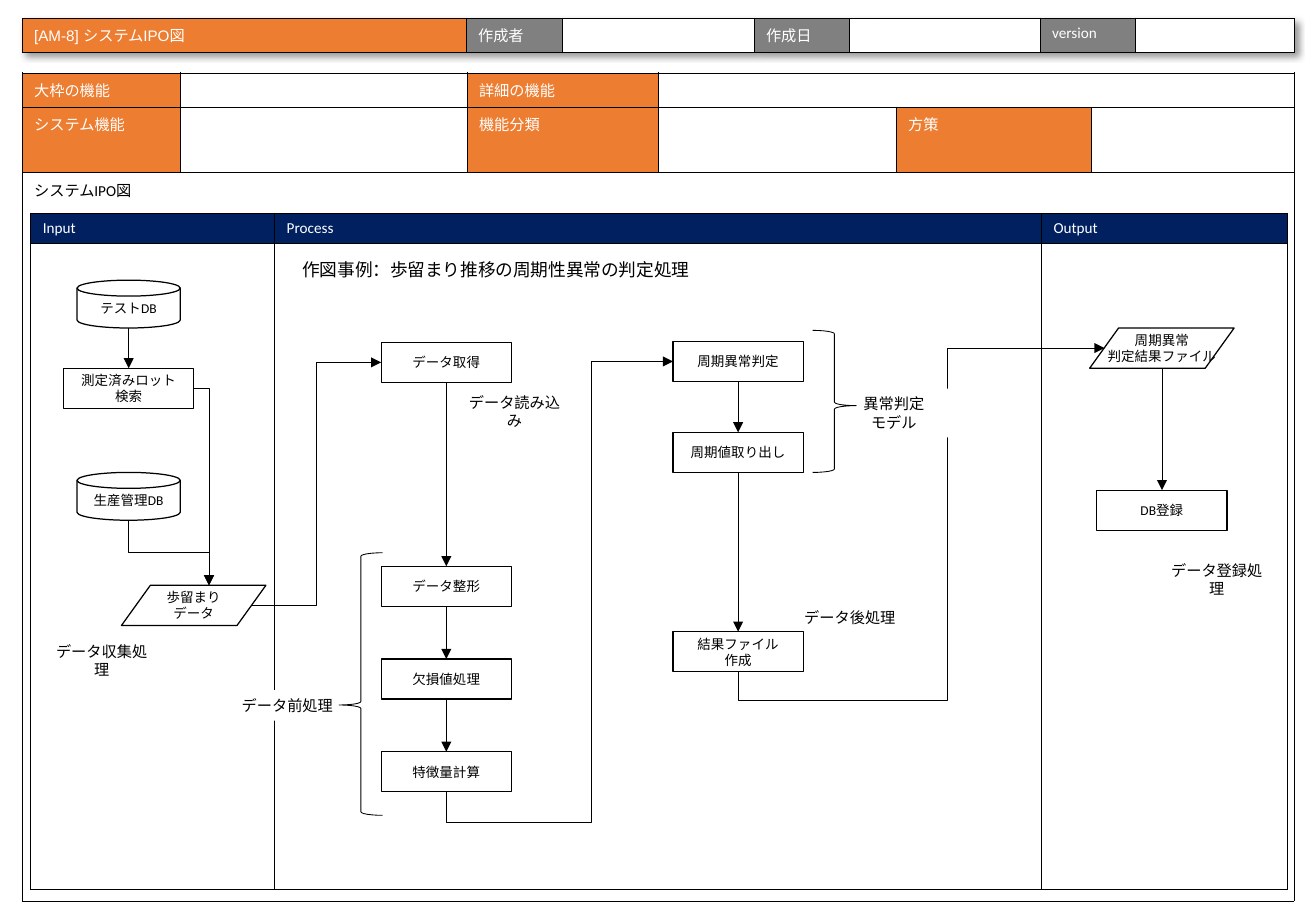
from lxml import etree
from pptx import Presentation
from pptx.dml.color import RGBColor
from pptx.enum.shapes import MSO_CONNECTOR, MSO_SHAPE
from pptx.enum.text import MSO_ANCHOR, MSO_AUTO_SIZE, PP_ALIGN
from pptx.oxml import parse_xml
from pptx.oxml.ns import nsdecls, qn
from pptx.util import Cm, Pt

ORANGE, GRAY, NAVY = "ED7D31", "808080", "002060"
WHITE, BLACK = "FFFFFF", "000000"
CJK = "Noto Sans CJK JP"
PROCESS, DISK, FILE = (MSO_SHAPE.FLOWCHART_PROCESS, MSO_SHAPE.FLOWCHART_MAGNETIC_DISK,
                       MSO_SHAPE.FLOWCHART_DATA)
SIZES = {PROCESS: (2.72, 0.84), DISK: (2.16, 1.0), FILE: (3.02, 0.84)}


def rgb(code):
    return RGBColor.from_string(code)


def write(frame, text, size, color, font, align):
    frame.text = text
    for paragraph in frame.paragraphs:
        paragraph.alignment = align
        for run in paragraph.runs:
            run.font.size, run.font.name = Pt(size), font
            run.font.color.rgb = rgb(color)
            etree.SubElement(run.font._element, qn("a:ea")).set("typeface", CJK)
        if not paragraph.runs:
            etree.SubElement(paragraph._p, qn("a:endParaRPr")).set("sz", str(size * 100))


prs = Presentation()
prs.slide_width, prs.slide_height = Cm(27.51), Cm(19.05)
slide = prs.slides.add_slide(prs.slide_layouts[6])
shapes = slide.shapes

# Frame tables: left, top, column widths, row heights, merges, rows of (text, fill, text colour)
blank, clear = ("", WHITE, BLACK), ("", None, BLACK)
tables = [
    (0.46, 0.38, [9.28, 2.01, 4.01, 1.99, 3.99, 1.99, 3.32], [0.64], [],
     [[("[AM-8] システムIPO図", ORANGE, WHITE), ("作成者", GRAY, WHITE), blank,
       ("作成日", GRAY, WHITE), blank, ("version", GRAY, WHITE), blank]]),
    (0.46, 1.52, [3.3, 6, 3.99, 4.98, 4.08, 4.24], [0.64, 1.37, 15.24],
     [(0, 3, 5), (2, 0, 5)],
     [[("大枠の機能", ORANGE, WHITE), blank, ("詳細の機能", ORANGE, WHITE)] + [blank] * 3,
      [("システム機能", ORANGE, WHITE), blank, ("機能分類", ORANGE, WHITE), blank,
       ("方策", ORANGE, WHITE), blank],
      [("システムIPO図", WHITE, BLACK)] + [blank] * 5]),
    (0.64, 4.45, [5.1, 16.03, 5.13], [0.64, 13.51], [],
     [[(stage, NAVY, WHITE) for stage in ("Input", "Process", "Output")], [clear] * 3]),
]
for left, top, widths, heights, merges, rows in tables:
    frame = shapes.add_table(len(rows), len(widths), Cm(left), Cm(top),
                             Cm(sum(widths)), Cm(sum(heights)))
    table = frame.table
    for column, width in zip(table.columns, widths):
        column.width = Cm(width)
    for row, height in zip(table.rows, heights):
        row.height = Cm(height)
    for r, first, last in merges:
        table.cell(r, first).merge(table.cell(r, last))
    for r, row in enumerate(rows):
        for c, (text, fill, color) in enumerate(row):
            cell = table.cell(r, c)
            font = "Arial" if text.startswith("[AM") else "Calibri"
            write(cell.text_frame, text, 9, color, font, PP_ALIGN.LEFT)
            for side in ("lnL", "lnR", "lnT", "lnB"):
                cell._tc.get_or_add_tcPr().append(parse_xml(
                    f'<a:{side} {nsdecls("a")} w="3175"><a:solidFill>'
                    f'<a:srgbClr val="{BLACK}"/></a:solidFill></a:{side}>'))
            if fill:
                cell.fill.solid()
                cell.fill.fore_color.rgb = rgb(fill)
            else:
                cell.fill.background()
    if len(rows) == 1:  # the title bar casts a shadow
        table._tbl.tblPr.insert(0, parse_xml(
            f'<a:effectLst {nsdecls("a")}><a:outerShdw blurRad="50800" dist="38100" dir="2700000">'
            '<a:srgbClr val="000000"><a:alpha val="40000"/></a:srgbClr></a:outerShdw></a:effectLst>'))

# Flow steps
steps = {}
for text, kind, left, top in [
    ("テストDB", DISK, 1.61, 5.86), ("測定済みロット検索", PROCESS, 1.33, 7.7),
    ("生産管理DB", DISK, 1.61, 9.88), ("歩留まりデータ", FILE, 2.54, 12.24),
    ("データ取得", PROCESS, 7.97, 7.16), ("データ整形", PROCESS, 7.97, 11.84),
    ("欠損値処理", PROCESS, 7.97, 13.78), ("特徴量計算", PROCESS, 7.97, 15.72),
    ("周期異常判定", PROCESS, 14.07, 7.14), ("周期値取り出し", PROCESS, 14.07, 9.04),
    ("結果ファイル\n作成", PROCESS, 14.07, 13.21),
    ("周期異常\n判定結果ファイル", FILE, 22.78, 6.86), ("DB登録", PROCESS, 22.93, 10.25),
]:
    step = shapes.add_shape(kind, Cm(left), Cm(top), *map(Cm, SIZES[kind]))
    step.shadow.inherit = False
    step.fill.solid()
    step.fill.fore_color.rgb = rgb(WHITE)
    step.line.color.rgb, step.line.width = rgb(BLACK), Pt(0.75)
    step.text_frame.vertical_anchor = MSO_ANCHOR.MIDDLE
    step.text_frame.word_wrap = not text.startswith("周期異常\n")
    write(step.text_frame, text, 8, BLACK, "Calibri", PP_ALIGN.CENTER)
    steps[text.split("\n")[0]] = step

# Arrows: start, end, joined steps with their sides, then bend type, turn, flips, adjustments
TOP, LEFT, BOTTOM, RIGHT = range(4)
arrows = [
    ((2.69, 6.86), (2.69, 7.7), None, ("測定済みロット検索", TOP)),
    ((24.29, 7.7), (24.29, 10.25), None, ("DB登録", TOP)),
    ((4.05, 8.12), (4.37, 12.24), ("測定済みロット検索", RIGHT), None, 2, 0, "", []),
    ((2.69, 10.88), (4.37, 12.24), None, None, 3, 270, "H", [0.5]),
    ((5.26, 12.66), (7.97, 7.58), None, ("データ取得", LEFT), 3, 0, "V", [0.5]),
    ((9.33, 16.56), (14.07, 7.56), ("特徴量計算", BOTTOM), ("周期異常判定", LEFT),
     4, 90, "HV", [-0.07, 0.64]),
    ((15.43, 14.05), (23.09, 7.28), ("結果ファイル", BOTTOM), None, 4, 90, "HV", [-0.09, 0.57]),
]
for upper, lower in [("データ取得", "データ整形"), ("データ整形", "欠損値処理"),
                     ("欠損値処理", "特徴量計算"), ("周期異常判定", "周期値取り出し"),
                     ("周期値取り出し", "結果ファイル")]:
    arrows.append(((0, 0), (0, 0), (upper, BOTTOM), (lower, TOP)))
for start, end, source, target, *bend in arrows:
    arrow = shapes.add_connector(MSO_CONNECTOR.ELBOW if bend else MSO_CONNECTOR.STRAIGHT,
                                 *map(Cm, start + end))
    if source:
        arrow.begin_connect(steps[source[0]], source[1])
    if target:
        arrow.end_connect(steps[target[0]], target[1])
    arrow.line.color.rgb, arrow.line.width = rgb(BLACK), Pt(0.5)
    etree.SubElement(arrow.line._get_or_add_ln(), qn("a:tailEnd")).set("type", "triangle")
    etree.SubElement(arrow._element.spPr, qn("a:effectLst"))
    if bend:
        segments, turn, flips, adjustments = bend
        width, height = abs(end[0] - start[0]), abs(end[1] - start[1])
        if turn:
            width, height = height, width
        arrow.width, arrow.height = Cm(width), Cm(height)
        arrow.left = Cm((start[0] + end[0] - width) / 2)
        arrow.top = Cm((start[1] + end[1] - height) / 2)
        xfrm = arrow._element.spPr.find(qn("a:xfrm"))
        xfrm.set("rot", str(turn * 60000))
        for axis in "HV":
            xfrm.set("flip" + axis, str(int(axis in flips)))
        geometry = arrow._element.spPr.find(qn("a:prstGeom"))
        geometry.set("prst", f"bentConnector{segments}")
        for i, value in enumerate(adjustments, 1):
            guide = etree.SubElement(geometry.find(qn("a:avLst")), qn("a:gd"))
            guide.set("name", f"adj{i}")
            guide.set("fmla", f"val {round(value * 100000)}")

# Captions: text, left, top, width, height, size, alignment, fill
for text, left, top, width, height, size, align, filled in [
    ("作図事例：歩留まり推移の周期性異常の判定処理", 6.07, 5.28, 11.3, 0.71, 10.5, PP_ALIGN.LEFT, True),
    ("データ読み込み", 9.42, 8.1, 2.67, 0.64, 9, PP_ALIGN.CENTER, True),
    ("データ前処理", 4.67, 14.43, 2.67, 0.64, 9, PP_ALIGN.CENTER, True),
    ("異常判定\nモデル", 17.35, 8.13, 2.67, 1.02, 9, PP_ALIGN.CENTER, True),
    ("データ後処理", 16.43, 12.6, 2.67, 0.64, 9, PP_ALIGN.CENTER, False),
    ("データ収集処理", 0.79, 13.31, 2.67, 0.64, 9, PP_ALIGN.CENTER, True),
    ("データ登録処理", 24.1, 11.61, 2.67, 0.64, 9, PP_ALIGN.CENTER, True),
]:
    caption = shapes.add_textbox(Cm(left), Cm(top), Cm(width), Cm(height))
    caption.text_frame.word_wrap = True
    caption.text_frame.auto_size = MSO_AUTO_SIZE.SHAPE_TO_FIT_TEXT
    if filled:
        caption.fill.solid()
        caption.fill.fore_color.rgb = rgb(WHITE)
    write(caption.text_frame, text, size, BLACK, CJK, align)

# Braces around preprocessing and the anomaly model
for left, top, height, point, mirrored in [(7.09, 11.56, 5.49, 0.58, False),
                                           (16.99, 6.91, 2.97, 0.53, True)]:
    brace = shapes.add_shape(MSO_SHAPE.LEFT_BRACE, Cm(left), Cm(top), Cm(0.91), Cm(height))
    brace.shadow.inherit = False
    brace.fill.background()
    brace.line.color.rgb, brace.line.width = rgb(BLACK), Pt(0.5)
    brace.adjustments[0], brace.adjustments[1] = 0.08, point
    if mirrored:
        brace._element.spPr.find(qn("a:xfrm")).set("flipH", "1")

prs.save("out.pptx")
